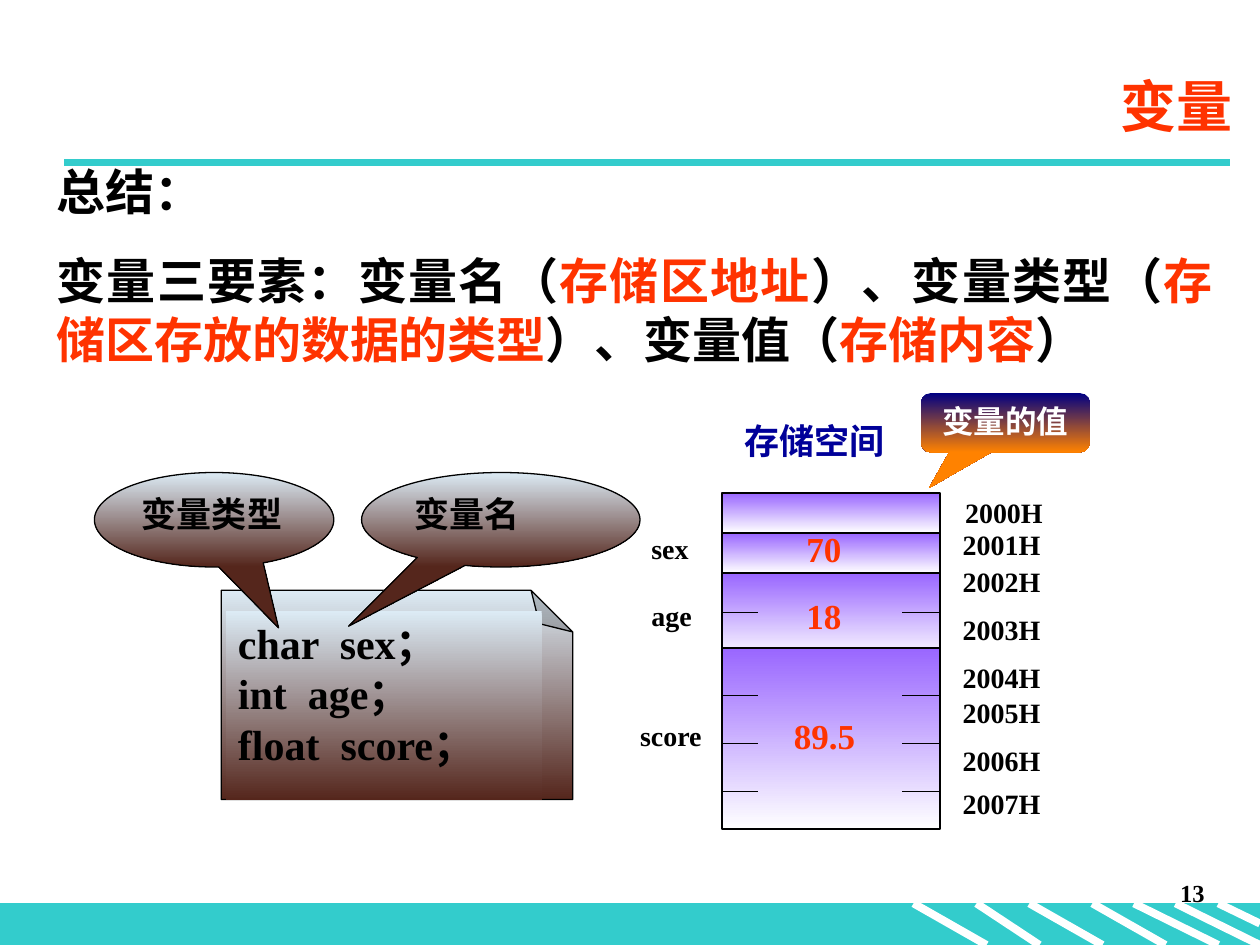
from dataclasses import dataclass

from lxml.etree import SubElement
from pptx import Presentation
from pptx.dml.color import RGBColor as RGB
from pptx.enum.shapes import MSO_CONNECTOR as Link, MSO_SHAPE as Kind
from pptx.enum.text import MSO_ANCHOR as Anchor, PP_ALIGN as Align
from pptx.oxml.ns import qn
from pptx.util import Pt

PX = 9144  # EMU per px, 100 px to the inch


@dataclass(frozen=True)
class Theme:
    font: str = "Times New Roman"
    ink: str = "000000"
    paper: str = "FFFFFF"
    teal: str = "33CCCC"
    red: str = "FF3300"
    navy: str = "000099"
    earth: tuple = ("DCEBF5", "55261C")
    violet: tuple = ("9966FF", "FFFFFF")
    flame: tuple = ("000082", "FF8200")
    title: int = 32
    body: int = 28
    code: int = 24
    value: int = 20
    note: int = 18
    label: int = 16
    page: int = 14


T = Theme()


def emu(*nums):
    return [n * PX for n in nums]


def style(para, size, color, align):
    para.alignment = align
    for run in para.runs:
        font = run.font
        font.name, font.size, font.bold = T.font, Pt(size), True
        font.color.rgb = RGB.from_string(color)


def write(shape, text, size, color=T.ink, align=Align.LEFT, anchor=Anchor.TOP):
    frame = shape.text_frame
    frame.text = text
    frame.vertical_anchor = anchor
    for para in frame.paragraphs:
        style(para, size, color, align)


def textbox(slide, box, *args, wrap=True, **kw):
    shape = slide.shapes.add_textbox(*emu(*box))
    shape.text_frame.word_wrap = wrap
    write(shape, *args, **kw)
    return shape


def label(slide, box, *args):
    frame = textbox(slide, box, *args, wrap=False).text_frame
    frame.margin_left = frame.margin_right = 0
    frame.margin_top = frame.margin_bottom = 0


def line(slide, start, end, color, width):
    link = slide.shapes.add_connector(Link.STRAIGHT, *emu(*start, *end))
    link.line.color.rgb = RGB.from_string(color)
    link.line.width = Pt(width)
    SubElement(link.element.spPr, qn("a:effectLst"))


def shade(slide, kind, box, colors, width=0, angle=270):
    """Add a shape with a two-colour gradient and, if width is set, an outline."""
    shape = slide.shapes.add_shape(kind, *emu(*box))
    shape.shadow.inherit = False
    shape.fill.gradient()
    shape.fill.gradient_angle = angle
    for stop, color, pos in zip(shape.fill.gradient_stops, colors, (0, 1)):
        stop.color.rgb = RGB.from_string(color)
        stop.position = pos
    if width:
        shape.line.color.rgb = RGB.from_string(T.ink)
        shape.line.width = Pt(width)
    else:
        shape.line.fill.background()
    return shape


def adjust(shape, **guides):
    """Set the shape's guides, in thousandths of a percent."""
    rules = shape.element.spPr.find(".//" + qn("a:avLst"))
    rules.clear()
    for name, value in guides.items():
        SubElement(rules, qn("a:gd"), name=name, fmla=f"val {value}")


def footer(slide, x, y, w, h):
    band = slide.shapes.add_shape(Kind.RECTANGLE, *emu(x, y, w, h))
    band.shadow.inherit = False
    band.fill.solid()
    band.fill.fore_color.rgb = RGB.from_string(T.teal)
    band.line.color.rgb = RGB.from_string(T.teal)
    # Slanted stripes: top x, bottom x, drop
    for top, end, drop in ((725, 783, h), (775, 825, h), (817, 875, h), (867, 925, h),
                           (900, 967, h), (933, 1000, h), (967, 1000, 16)):
        line(slide, (x + top, y), (x + end, y + drop), T.paper, 4.5)
    textbox(slide, (x + 758, y - 25, 208, 50), "13", T.page, align=Align.RIGHT)


def header(slide, x, y, w, h):
    line(slide, (x, y + h), (x + w, y + h), T.teal, 4.5)
    textbox(slide, (x + 87, y, 850, 79), "变量", T.title, T.red,
            Align.RIGHT, Anchor.MIDDLE)


def summary(slide, x, y, w, h):
    shape = textbox(slide, (x, y, w, h), "总结：", T.body, align=Align.JUSTIFY)
    para = shape.text_frame.add_paragraph()
    para.space_before = Pt(17.5)
    parts = ("变量三要素：变量名（", "存储区地址", "）、变量类型（",
             "存储区存放的数据的类型", "）、变量值（", "存储内容", "）")
    for part in parts:
        para.add_run().text = part
    style(para, T.body, T.ink, Align.JUSTIFY)
    for run in para.runs[1::2]:
        run.font.color.rgb = RGB.from_string(T.red)


def code(slide, x, y):
    # Sheet with its folded corner turned to the top right
    sheet = shade(slide, Kind.FOLDED_CORNER, (x + 157, y + 37, 166, 279),
                  T.earth, 0.75, 180)
    adjust(sheet, adj=19900)
    sheet.rotation = 270
    panel = shade(slide, Kind.RECTANGLE, (x + 104, y + 110, 251, 150), T.earth)
    write(panel, "char  sex；\nint  age；\nfloat  score；", T.code, align=Align.JUSTIFY)
    # Callouts
    for text, left, width, tip, drop in (("变量类型", 0, 190, 26900, 114400),
                                         ("变量名", 212, 221, -54700, 112700)):
        note = shade(slide, Kind.OVAL_CALLOUT, (x + left, y, width, 75), T.earth, 0.75)
        adjust(note, adj1=tip, adj2=drop)
        write(note, text, T.value, align=Align.JUSTIFY)


def memory(slide, x, y, w):
    # Cells, each lower one over the one above
    for top, height in ((0, 32), (32, 32), (64, 69), (123, 144)):
        shade(slide, Kind.RECTANGLE, (x, y + top, w, height), T.violet, 1.25)
    # Byte marks on both sides
    for top in (95, 161, 199, 237):
        for left in (x, x + w - 30):
            line(slide, (left, y + top), (left + 29, y + top), T.ink, 0.75)
    # Addresses
    for i, top in enumerate((2, 28, 57, 95, 133, 161, 199, 233)):
        left = x + (193 if i == 0 else 191)
        label(slide, (left, y + top, 62, 27), f"200{i}H", T.label)
    # Names and values
    for name, left, width, value, start, span, top in (
            ("sex", -56, 30, "70", 67, 28, 28),
            ("age", -56, 32, "18", 67, 28, 81),
            ("score", -65, 49, "89.5", 57, 49, 176)):
        label(slide, (x + left, y + top + 3, width, 27), name, T.label)
        label(slide, (x + start, y + top, span, 33), value, T.value, T.red)
    # Caption and callout
    textbox(slide, (x + 8, y - 63, 236, 44), "存储空间", T.value, T.navy)
    note = shade(slide, Kind.ROUNDED_RECTANGULAR_CALLOUT, (x + 158, y - 79, 134, 47),
                 T.flame)
    adjust(note, adj1=-45200, adj2=110300, adj3=16700)
    write(note, "变量的值", T.note, T.paper, Align.CENTER)


def main():
    deck = Presentation()
    deck.slide_width, deck.slide_height = emu(1000, 750)
    slide = deck.slides.add_slide(deck.slide_layouts[6])
    footer(slide, 0, 717, 1000, 33)
    header(slide, 51, 44, 925, 85)
    code(slide, 75, 375)
    summary(slide, 35, 123, 937, 175)
    memory(slide, 573, 391, 173)
    deck.save("out.pptx")


if __name__ == "__main__":
    main()
